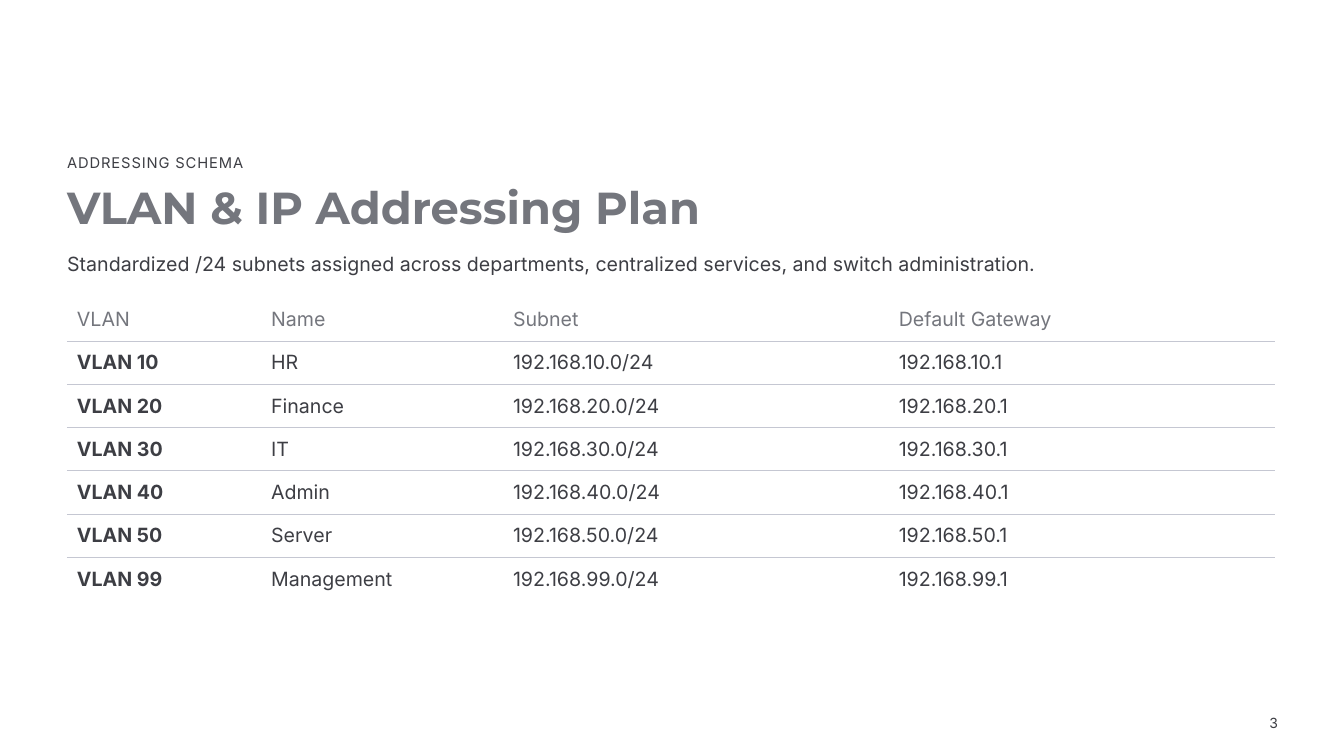
from dataclasses import dataclass

from lxml.etree import SubElement
from pptx import Presentation
from pptx.dml.color import RGBColor
from pptx.enum.text import MSO_ANCHOR
from pptx.oxml import parse_xml
from pptx.oxml.ns import nsdecls, qn
from pptx.util import Pt

DARK, GRAY, RULE, WHITE = "3D3E44", "74767D", "C5C7D2", "FFFFFF"
BODY_FONT, TITLE_FONT = "Inter", "Montserrat"
BODY_SIZE = 21
LEFT = 72


@dataclass
class Label:
    text: str
    left: float
    top: float
    width: float
    height: float
    size: float
    line: float
    font: str = BODY_FONT
    color: str = DARK
    bold: bool = False
    spacing: float = 0
    anchor: MSO_ANCHOR = MSO_ANCHOR.TOP


LABELS = [
    Label("ADDRESSING SCHEMA", LEFT, 161.3, 1296, 25, 15.8, 22.1, spacing=0.9),
    Label("VLAN & IP Addressing Plan", LEFT, 197.3, 1296, 57, 48, 53,
          font=TITLE_FONT, color=GRAY, bold=True),
    Label("Standardized /24 subnets assigned across departments, "
          "centralized services, and switch administration.",
          LEFT, 265.7, 1213, 32.4, BODY_SIZE, 29.5),
    Label("3", 1360, 761.8, 80, 23, 15, 21.1, anchor=MSO_ANCHOR.MIDDLE),
]

# Addressing table
HEADERS = ["VLAN", "Name", "Subnet", "Default Gateway"]
VLANS = {10: "HR", 20: "Finance", 30: "IT", 40: "Admin", 50: "Server", 99: "Management"}
COLUMN_WIDTHS = [208, 259.2, 413.3, 413.3]
TABLE_TOP, ROW_HEIGHT = 319, 46.4
CELL_MARGIN = 10.5


def rgb(color: str) -> RGBColor:
    return RGBColor.from_string(color)


def write_text(frame, text: str, *, size: float, line: float, font: str = BODY_FONT,
               color: str = DARK, bold: bool = False, spacing: float = 0) -> None:
    paragraph = frame.paragraphs[0]
    paragraph.line_spacing = Pt(line)
    run = paragraph.add_run()
    run.text = text
    run.font.name = font
    run.font.size = Pt(size)
    run.font.bold = bold
    run.font.color.rgb = rgb(color)
    if spacing:
        run.font._element.set("spc", str(round(spacing * 100)))


def add_label(slide, label: Label) -> None:
    shape = slide.shapes.add_textbox(
        Pt(label.left), Pt(label.top), Pt(label.width), Pt(label.height))
    frame = shape.text_frame
    frame.word_wrap = True
    frame.vertical_anchor = label.anchor
    frame.margin_left = frame.margin_right = frame.margin_top = frame.margin_bottom = 0
    write_text(frame, label.text, size=label.size, line=label.line, font=label.font,
               color=label.color, bold=label.bold, spacing=label.spacing)


def set_borders(cell, top: str, bottom: str) -> None:
    properties = cell._tc.get_or_add_tcPr()
    sides = [("lnL", WHITE), ("lnR", WHITE), ("lnT", top), ("lnB", bottom)]
    for position, (side, color) in enumerate(sides):
        border = parse_xml(f'<a:{side} {nsdecls("a")} w="{Pt(1)}"/>')
        fill = SubElement(border, qn("a:solidFill"))
        SubElement(fill, qn("a:srgbClr"), val=color)
        properties.insert(position, border)


def add_addressing_table(slide) -> None:
    rows = [HEADERS] + [
        [f"VLAN {number}", name, f"192.168.{number}.0/24", f"192.168.{number}.1"]
        for number, name in VLANS.items()
    ]
    table = slide.shapes.add_table(
        len(rows), len(HEADERS), Pt(LEFT), Pt(TABLE_TOP),
        Pt(sum(COLUMN_WIDTHS)), Pt(ROW_HEIGHT * len(rows))).table
    table.horz_banding = False
    for column, width in zip(table.columns, COLUMN_WIDTHS):
        column.width = Pt(width)
    for row_index, values in enumerate(rows):
        table.rows[row_index].height = Pt(ROW_HEIGHT)
        is_header = row_index == 0
        is_last = row_index == len(rows) - 1
        for column_index, value in enumerate(values):
            cell = table.cell(row_index, column_index)
            cell.fill.background()
            cell.vertical_anchor = MSO_ANCHOR.MIDDLE
            cell.margin_left = cell.margin_right = Pt(CELL_MARGIN)
            cell.margin_top = cell.margin_bottom = Pt(CELL_MARGIN)
            set_borders(cell, top=WHITE if is_header else RULE,
                        bottom=WHITE if is_last else RULE)
            write_text(cell.text_frame, value, size=BODY_SIZE, line=25.2,
                       color=GRAY if is_header else DARK,
                       bold=column_index == 0 and not is_header)


def main() -> None:
    presentation = Presentation()
    presentation.slide_width, presentation.slide_height = Pt(1440), Pt(810)
    slide = presentation.slides.add_slide(presentation.slide_layouts[6])

    # Headings and page number
    for label in LABELS:
        add_label(slide, label)

    add_addressing_table(slide)
    presentation.save("out.pptx")


if __name__ == "__main__":
    main()
